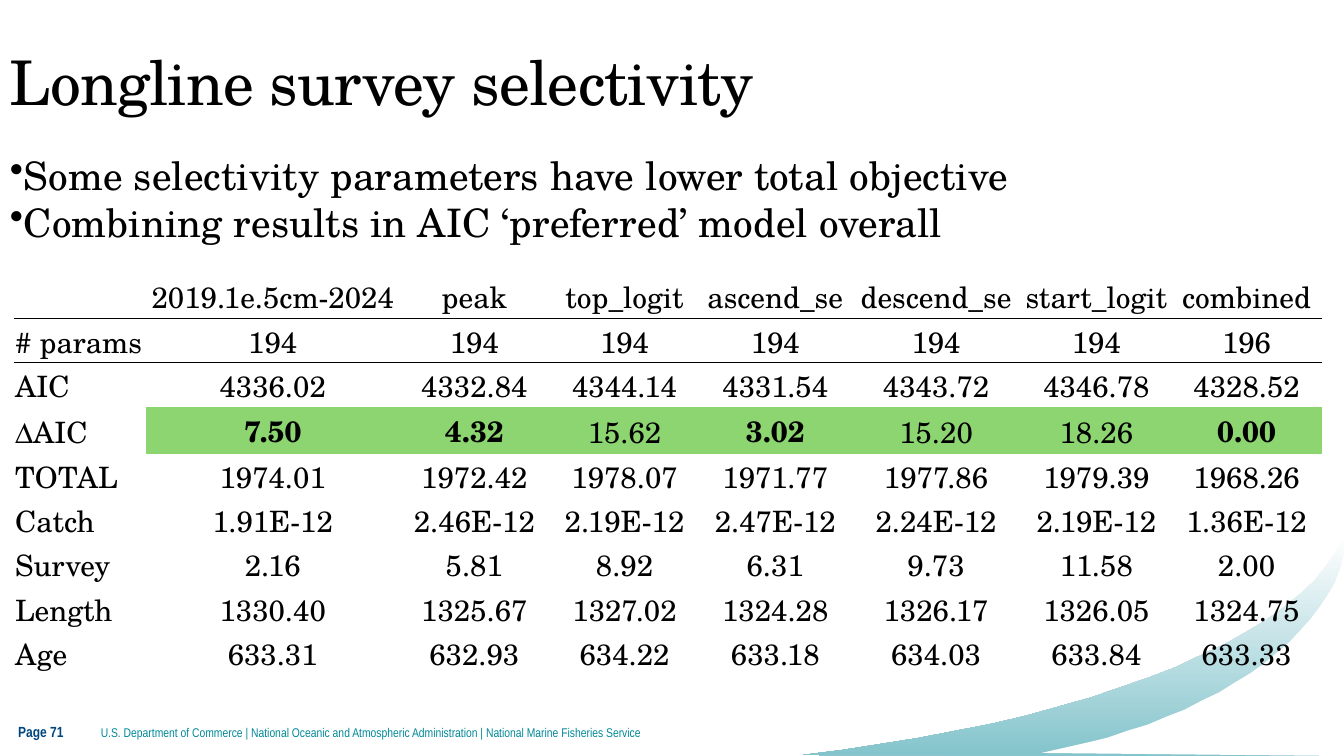
from lxml import etree
from pptx import Presentation
from pptx import util as u
from pptx.dml.color import RGBColor
from pptx.enum import text
from pptx.oxml.ns import qn

PX = 9144  # 100 px to the inch
SERIF, NARROW = "TeX Gyre Schola", "Arial Narrow"
BLACK = RGBColor(0x00, 0x00, 0x00)
WHITE = RGBColor(0xFF, 0xFF, 0xFF)
NAVY = RGBColor(0x00, 0x46, 0x7F)
TEAL = RGBColor(0x00, 0x89, 0x98)
AQUA = RGBColor(0x84, 0xC4, 0xCC)
GREEN = RGBColor(0x8C, 0xD5, 0x70)
NO_STYLE_NO_GRID = "{2D5ABB26-0587-4C30-8999-92F81FD0307C}"

deck = Presentation()
deck.slide_width, deck.slide_height = 1333 * PX, 750 * PX
page = deck.slides.add_slide(deck.slide_layouts[6])


def add_swoosh(start, curves):
    """Outline from the bottom right corner, up to start, along Bezier curves."""
    points = [(1333, 750), start]
    for first, second, end in curves:
        origin = points[-1]
        for step in range(1, 21):
            t = step / 20
            weights = ((1 - t) ** 3, 3 * t * (1 - t) ** 2, 3 * t * t * (1 - t), t ** 3)
            corners = (origin, first, second, end)
            points.append(tuple(sum(w * c[axis] for w, c in zip(weights, corners))
                                for axis in (0, 1)))
    builder = page.shapes.build_freeform(*points[0], scale=PX)
    builder.add_line_segments(points[1:], close=True)
    swoosh = builder.convert_to_shape()
    swoosh.shadow.inherit = False
    swoosh.line.fill.background()
    return swoosh


def add_text(frame, lines, size, color, font=SERIF, inset=(0, 0),
             anchor=text.MSO_ANCHOR.TOP, bold=False, leading=None, spacing=0, bullet=None):
    box = page.shapes.add_textbox(*(length * PX for length in frame))
    body = box.text_frame
    body.word_wrap = True
    body.vertical_anchor = anchor
    body.margin_left = body.margin_right = inset[0] * PX
    body.margin_top = body.margin_bottom = inset[1] * PX
    body.text = "\n".join(lines)
    for para in body.paragraphs:
        if bullet:
            etree.SubElement(para._p.get_or_add_pPr(), qn("a:buChar")).set("char", bullet)
        para.font.name, para.font.size = font, u.Pt(size)
        para.font.bold, para.font.color.rgb = bold, color
        if leading:
            para.line_spacing = u.Pt(leading)
        if spacing:
            para._p.pPr.find(qn("a:defRPr")).set("spc", str(spacing))


# Corner swoosh: a fading band with a white curve inside it
band = add_swoosh((1333, 531), [((1331, 535), (1328, 542), (1325, 548)),
                                ((1268, 642), (1064, 718), (796, 749))])
band.fill.gradient()
band.fill.gradient_angle = 270
for stop, color in zip(band.fill.gradient_stops, (WHITE, AQUA)):
    stop.color.rgb = color
inner = add_swoosh((1333, 549), [((1332, 553), (1331, 559), (1329, 565)),
                                 ((1297, 650), (1182, 719), (1033, 747))])
inner.fill.solid()
inner.fill.fore_color.rgb = WHITE

# Footer
add_text((100, 697, 977, 59),
         ["U.S. Department of Commerce | National Oceanic and Atmospheric Administration"
          " | National Marine Fisheries Service"],
         9, TEAL, NARROW, (0, 5), text.MSO_ANCHOR.MIDDLE)
add_text((18, 695, 82, 61), ["Page 71"], 10.5, NAVY, NARROW,
         anchor=text.MSO_ANCHOR.MIDDLE, bold=True)

# Title and bullets
add_text((0, 40, 1150, 90), ["Longline survey selectivity"], 44, BLACK,
         inset=(10, 5), leading=52, spacing=-50)
add_text((0, 145, 1150, 110),
         ["Some selectivity parameters have lower total objective",
          "Combining results in AIC ‘preferred’ model overall"],
         28, BLACK, inset=(10, 5), leading=33.5, spacing=10, bullet="•")

# Model comparison table
ROWS = [
    ["", "2019.1e.5cm-2024", "peak", "top_logit", "ascend_se", "descend_se",
     "start_logit", "combined"],
    ["# params", "194", "194", "194", "194", "194", "194", "196"],
    ["AIC", "4336.02", "4332.84", "4344.14", "4331.54", "4343.72", "4346.78", "4328.52"],
    ["ΔAIC", "7.50", "4.32", "15.62", "3.02", "15.20", "18.26", "0.00"],
    ["TOTAL", "1974.01", "1972.42", "1978.07", "1971.77", "1977.86", "1979.39", "1968.26"],
    ["Catch", "1.91E-12", "2.46E-12", "2.19E-12", "2.47E-12", "2.24E-12", "2.19E-12",
     "1.36E-12"],
    ["Survey", "2.16", "5.81", "8.92", "6.31", "9.73", "11.58", "2.00"],
    ["Length", "1330.40", "1325.67", "1327.02", "1324.28", "1326.17", "1326.05", "1324.75"],
    ["Age", "633.31", "632.93", "634.22", "633.18", "634.03", "633.84", "633.33"],
]
WIDTHS = [131, 251, 149, 149, 150, 169, 149, 149]
DELTA_ROW, BOLD_COLUMNS = 3, (1, 2, 4, 7)
ROW_HEIGHT = 44

table = page.shapes.add_table(len(ROWS), len(WIDTHS), 14 * PX, 272 * PX, sum(WIDTHS) * PX,
                              len(ROWS) * ROW_HEIGHT * PX).table
table.first_row = table.horz_banding = False
table._tbl.tblPr.find(qn("a:tableStyleId")).text = NO_STYLE_NO_GRID
for column, width in zip(table.columns, WIDTHS):
    column.width = width * PX
table.rows[DELTA_ROW].height = (ROW_HEIGHT + 2) * PX

for r, row in enumerate(ROWS):
    for c, value in enumerate(row):
        cell = table.cell(r, c)
        cell.text = value
        cell.vertical_anchor = text.MSO_ANCHOR.BOTTOM
        cell.margin_left = cell.margin_right = cell.margin_top = PX
        cell.margin_bottom = 0
        para = cell.text_frame.paragraphs[0]
        para.alignment = text.PP_ALIGN.CENTER if c else text.PP_ALIGN.LEFT
        para.font.name, para.font.size = SERIF, u.Pt(21)
        para.font.color.rgb = BLACK
        para.font.bold = r == DELTA_ROW and c in BOLD_COLUMNS
        # Rule between the header and the first row
        if r < 2:
            edge = etree.SubElement(cell._tc.get_or_add_tcPr(),
                                    qn("a:lnT" if r else "a:lnB"), w=str(u.Pt(1)))
            fill = etree.SubElement(edge, qn("a:solidFill"))
            etree.SubElement(fill, qn("a:srgbClr"), val=str(BLACK))
        if r == DELTA_ROW and c:
            cell.fill.solid()
            cell.fill.fore_color.rgb = GREEN
        else:
            cell.fill.background()

deck.save("out.pptx")
